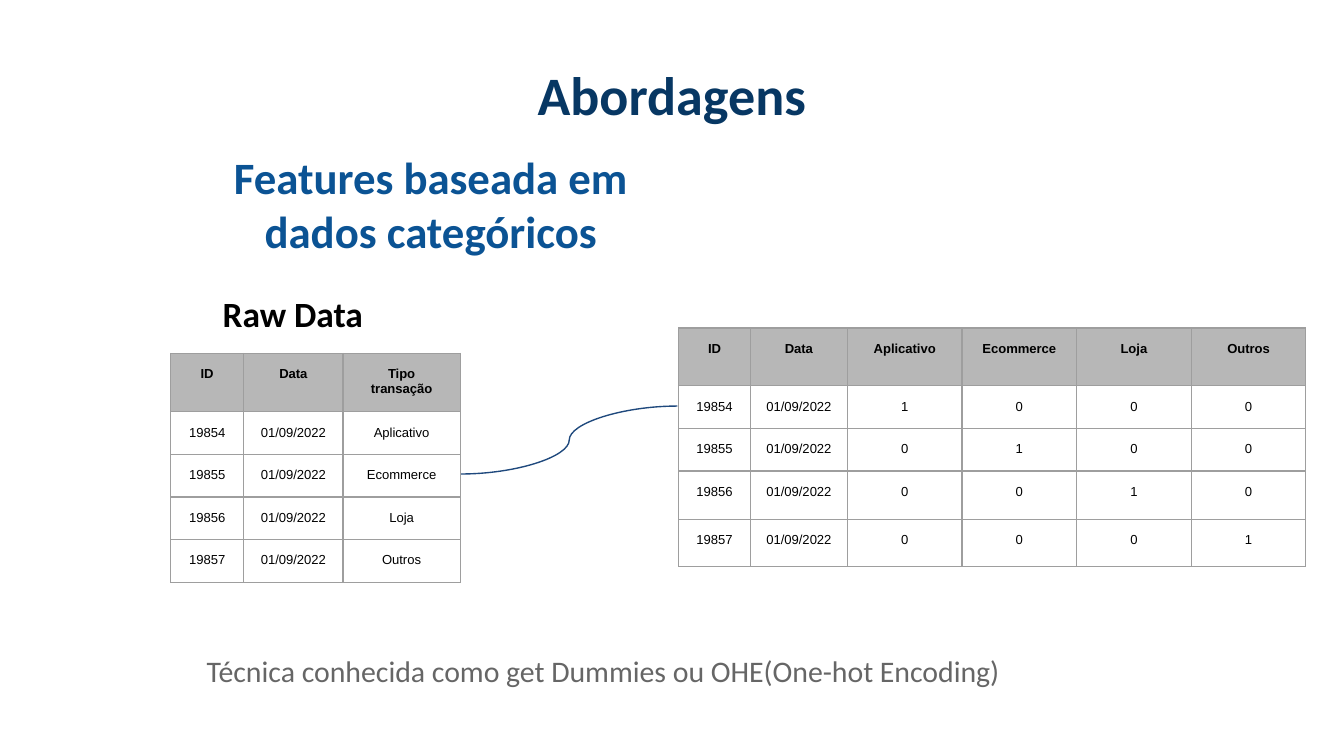
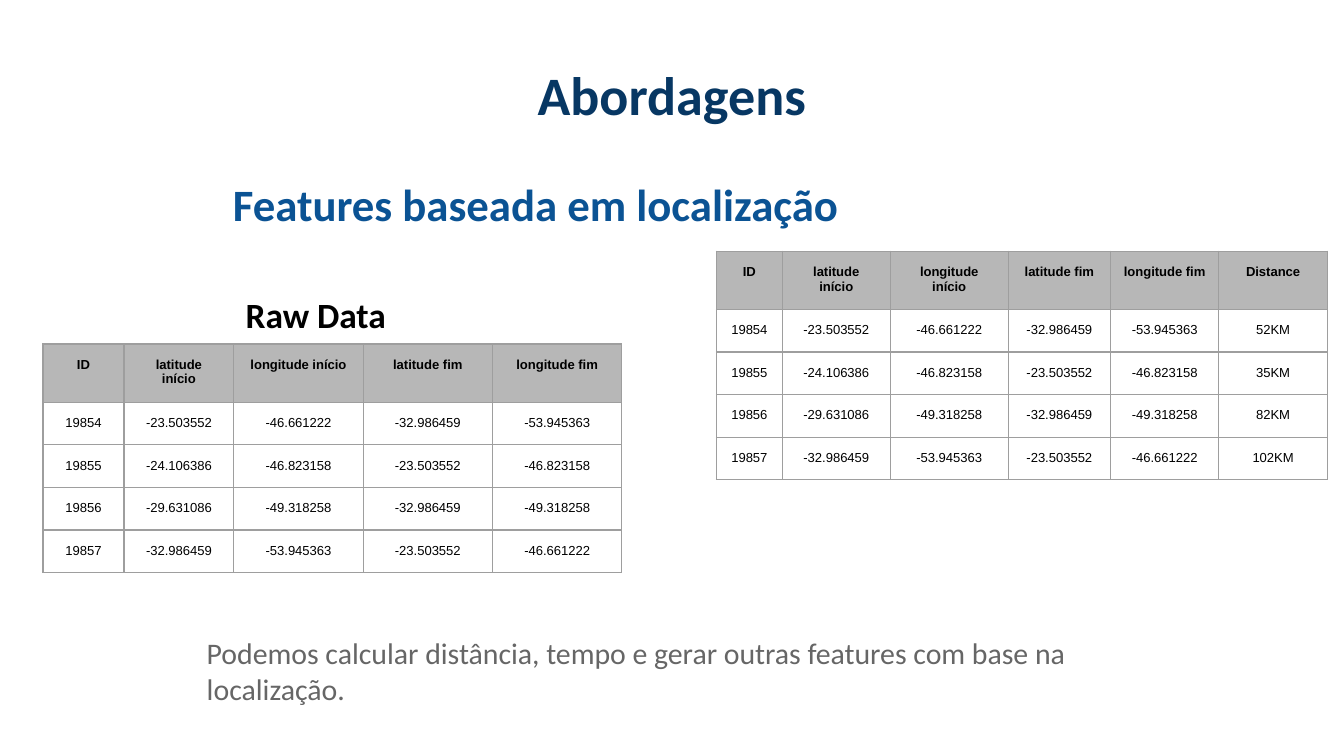
"""Builds two slides on feature engineering from categorical and location data."""
from lxml.etree import SubElement
from pptx import Presentation
from pptx.dml.color import RGBColor
from pptx.enum.shapes import MSO_CONNECTOR
from pptx.enum.text import MSO_ANCHOR, PP_ALIGN
from pptx.oxml.ns import qn
from pptx.util import Pt

NAVY, BLUE, BLACK, GRAY = "073763", "0B5394", "000000", "666666"
HEADER_FILL, BORDER, CURVE = "B7B7B7", "9E9E9E", "1F497D"

STYLES = {
    "title": ({"name": "Calibri", "size": Pt(29), "bold": True}, NAVY, PP_ALIGN.CENTER),
    "heading": ({"name": "Calibri", "size": Pt(24), "bold": True}, BLUE, PP_ALIGN.CENTER),
    "label": ({"name": "Calibri", "size": Pt(19), "bold": True}, BLACK, PP_ALIGN.CENTER),
    "note": ({"name": "Calibri", "size": Pt(16), "bold": False}, GRAY, PP_ALIGN.LEFT),
    "header": ({"name": "Arial", "size": Pt(7), "bold": True}, BLACK, PP_ALIGN.CENTER),
    "cell": ({"name": "Arial", "size": Pt(7), "bold": False}, BLACK, PP_ALIGN.CENTER),
}
TITLE_AREA = (36, 16.6, 648, 67.7)
NOTE_AREA = (103.7, 331.9, 506.2, 54.7)

IDS = ["19854", "19855", "19856", "19857"]
DATE = "01/09/2022"
CATEGORIES = ["Aplicativo", "Ecommerce", "Loja", "Outros"]
ROUTE_HEADER = ["ID", "latitude início", "longitude início", "latitude fim", "longitude fim"]
ROUTES = [
    ["-23.503552", "-46.661222", "-32.986459", "-53.945363"],
    ["-24.106386", "-46.823158", "-23.503552", "-46.823158"],
    ["-29.631086", "-49.318258", "-32.986459", "-49.318258"],
    ["-32.986459", "-53.945363", "-23.503552", "-46.661222"],
]
DISTANCES = ["52KM", "35KM", "82KM", "102KM"]

category_rows = [[key, DATE, category] for key, category in zip(IDS, CATEGORIES)]
dummy_rows = [[key, DATE] + [str(int(category == other)) for other in CATEGORIES]
              for key, category in zip(IDS, CATEGORIES)]
route_rows = [[key] + route for key, route in zip(IDS, ROUTES)]
distance_rows = [row + [distance] for row, distance in zip(route_rows, DISTANCES)]
EVEN_ROWS = [30] + [22.2] * 4

SLIDES = [
    {
        "heading": ("Features baseada em dados categóricos", (85.7, 83.5, 290.2, 51.1)),
        "label": ("Raw Data", (98.6, 151.9, 116.6, 32.4)),
        "note": "Técnica conhecida como get Dummies ou OHE(One-hot Encoding)",
        "tables": [
            ((91.4, 189.4), [39.2, 53.2, 62.8], EVEN_ROWS,
             [["ID", "Data", "Tipo transação"]] + category_rows),
            ((363.6, 175.7), [38.4, 52] + [61.4] * 4, [31, 22.4, 22.2, 25.8, 25.4],
             [["ID", "Data"] + CATEGORIES] + dummy_rows),
        ],
        "curves": [(247, 254, 362.9, 217.6)],
    },
    {
        "heading": ("Features baseada em localização", (85.7, 83.5, 402.5, 51.1)),
        "label": ("Raw Data", (110.9, 156.2, 116.6, 24.5)),
        "note": "Podemos calcular distância, tempo e gerar outras features com base na localização.",
        "tables": [
            ((23, 184.3), [43.4, 58.9] + [69.3] * 3, EVEN_ROWS,
             [ROUTE_HEADER] + route_rows),
            ((383.8, 134.6), [35.3, 57.8, 63.2, 54.8, 58.1, 58.1], EVEN_ROWS,
             [ROUTE_HEADER + ["Distance"]] + distance_rows),
        ],
        "curves": [],
    },
]


def color(value):
    return RGBColor.from_string(value)


def write(frame, text, style):
    font, tint, alignment = STYLES[style]
    para = frame.paragraphs[0]
    para.alignment = alignment
    span = para.add_run()
    span.text = text
    for name, value in font.items():
        setattr(span.font, name, value)
    span.font.color.rgb = color(tint)


def add_text(page, text, area, style):
    box = page.shapes.add_textbox(*map(Pt, area))
    box.text_frame.word_wrap = True
    box.text_frame.vertical_anchor = MSO_ANCHOR.MIDDLE
    write(box.text_frame, text, style)


def add_borders(cell):
    properties = cell._tc.get_or_add_tcPr()
    for side in ("lnL", "lnR", "lnT", "lnB"):
        line = SubElement(properties, qn(f"a:{side}"), w=str(Pt(0.75)))
        fill = SubElement(line, qn("a:solidFill"))
        SubElement(fill, qn("a:srgbClr"), val=BORDER)


def format_cell(cell, text, is_header):
    for side in ("left", "right", "top", "bottom"):
        setattr(cell, f"margin_{side}", Pt(7.2))
    add_borders(cell)
    if is_header:
        cell.fill.solid()
        cell.fill.fore_color.rgb = color(HEADER_FILL)
    else:
        cell.fill.background()
    write(cell.text_frame, text, "header" if is_header else "cell")


def add_grid(page, corner, widths, heights, rows):
    area = (*corner, sum(widths), sum(heights))
    table = page.shapes.add_table(len(rows), len(widths), *map(Pt, area)).table
    table.horz_banding = False
    for column, width in zip(table.columns, widths):
        column.width = Pt(width)
    for index, (height, values) in enumerate(zip(heights, rows)):
        table.rows[index].height = Pt(height)
        for cell, text in zip(table.rows[index].cells, values):
            format_cell(cell, text, index == 0)


def add_curve(page, ends):
    curve = page.shapes.add_connector(MSO_CONNECTOR.CURVE, *map(Pt, ends))
    curve.line.color.rgb = color(CURVE)
    curve.line.width = Pt(0.75)
    SubElement(curve._element.spPr, qn("a:effectLst"))


def main():
    deck = Presentation()
    deck.slide_width, deck.slide_height = Pt(720), Pt(405)
    for content in SLIDES:
        page = deck.slides.add_slide(deck.slide_layouts[6])
        add_text(page, "Abordagens", TITLE_AREA, "title")
        for style in ("heading", "label"):
            add_text(page, *content[style], style)
        for grid in content["tables"]:
            add_grid(page, *grid)
        for ends in content["curves"]:
            add_curve(page, ends)
        add_text(page, content["note"], NOTE_AREA, "note")
    deck.save("out.pptx")


if __name__ == "__main__":
    main()
